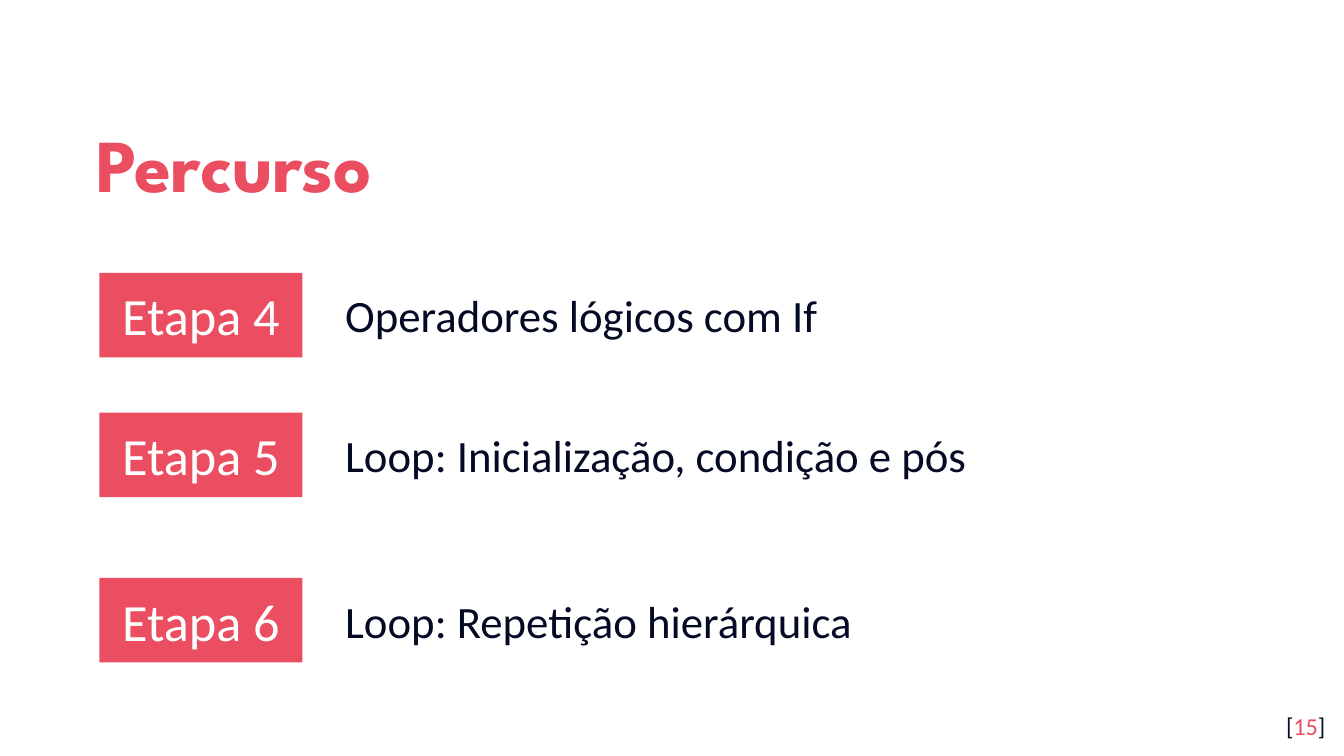
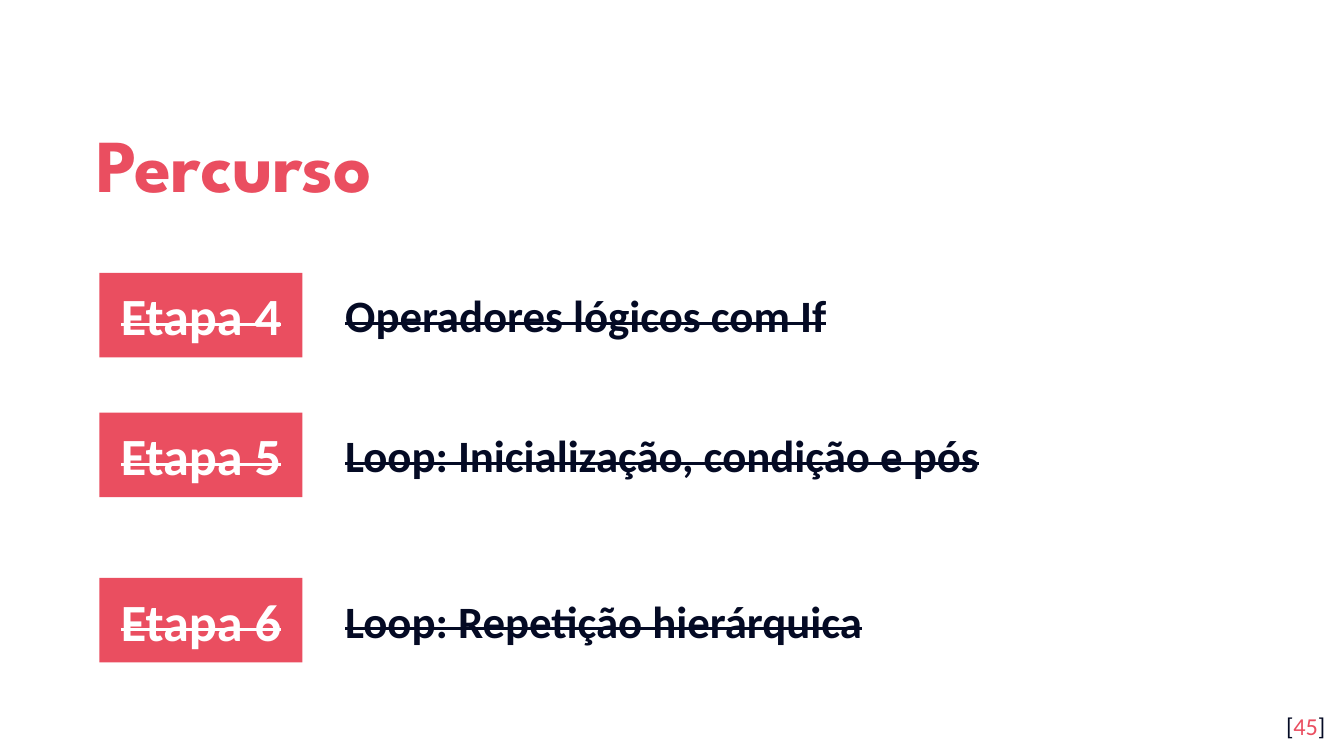
from dataclasses import dataclass

from pptx import Presentation
from pptx.dml.color import RGBColor
from pptx.enum.shapes import MSO_SHAPE
from pptx.enum.text import MSO_ANCHOR, PP_ALIGN
from pptx.util import Inches, Pt

# Content
TITLE = "Percurso"
STEPS = [  # label, description, top of the label box
    ("Etapa 4", "Operadores lógicos com If", 2.03),
    ("Etapa 5", "Loop: Inicialização, condição e pós", 3.07),
    ("Etapa 6", "Loop: Repetição hierárquica", 4.3),
]
SLIDES = [  # page number, steps already completed
    ("15", False),
    ("45", True),
]


@dataclass(frozen=True)
class Theme:
    accent: RGBColor = RGBColor(0xEA, 0x4E, 0x60)
    ink: RGBColor = RGBColor(0x04, 0x0A, 0x24)
    white: RGBColor = RGBColor(0xFF, 0xFF, 0xFF)
    title_font: str = "League Spartan"
    body_font: str = "Calibri"
    title_size: int = 40
    label_size: int = 28
    description_size: int = 24
    page_size: int = 13


THEME = Theme()
SLIDE_WIDTH = 10
SLIDE_HEIGHT = SLIDE_WIDTH * 9 / 16
LABEL_LEFT, LABEL_WIDTH, LABEL_HEIGHT = 0.74, 1.51, 0.63
DESCRIPTION_LEFT, DESCRIPTION_WIDTH, DESCRIPTION_HEIGHT = 2.47, 6.75, 0.5


def set_frame(shape, anchor=MSO_ANCHOR.TOP, vertical_inset=0.1):
    """Prepare the text frame and return its first paragraph."""
    frame = shape.text_frame
    frame.word_wrap = True
    frame.vertical_anchor = anchor
    frame.margin_left = frame.margin_right = Inches(0.1)
    frame.margin_top = frame.margin_bottom = Inches(vertical_inset)
    return frame.paragraphs[0]


def add_text_box(slide, left, top, width, height, **frame_options):
    box = slide.shapes.add_textbox(
        Inches(left), Inches(top), Inches(width), Inches(height))
    return set_frame(box, **frame_options)


def set_font(paragraph, size, color, name=THEME.body_font, bold=False):
    font = paragraph.font
    font.name, font.size, font.bold = name, Pt(size), bold
    font.color.rgb = color


def set_indent(paragraph, left, first_line):
    properties = paragraph._p.get_or_add_pPr()
    properties.set("marL", str(Inches(left)))
    properties.set("indent", str(Inches(first_line)))


def write_step_text(paragraph, text, size, color, done):
    run = paragraph.add_run()
    run.text = text
    set_font(paragraph, size, color, bold=done)
    if done:
        run.font._element.set("strike", "sngStrike")


def add_title(slide):
    paragraph = add_text_box(slide, 0.62, 0.7, 8.1, 0.92, anchor=MSO_ANCHOR.MIDDLE)
    paragraph.text = TITLE
    paragraph.line_spacing = 1.15
    set_font(paragraph, THEME.title_size, THEME.accent, THEME.title_font, bold=True)


def add_step(slide, label, description, top, done):
    # Coloured label
    box = slide.shapes.add_shape(
        MSO_SHAPE.RECTANGLE, Inches(LABEL_LEFT), Inches(top),
        Inches(LABEL_WIDTH), Inches(LABEL_HEIGHT))
    box.shadow.inherit = False
    box.fill.solid()
    box.fill.fore_color.rgb = THEME.accent
    box.line.fill.background()
    paragraph = set_frame(box, anchor=MSO_ANCHOR.MIDDLE)
    paragraph.alignment = PP_ALIGN.CENTER
    paragraph.level = 1
    set_indent(paragraph, 0, 0)
    write_step_text(paragraph, label, THEME.label_size, THEME.white, done)

    # Description, centred on the label's height
    description_top = top + (LABEL_HEIGHT - DESCRIPTION_HEIGHT) / 2
    paragraph = add_text_box(
        slide, DESCRIPTION_LEFT, description_top,
        DESCRIPTION_WIDTH, DESCRIPTION_HEIGHT, vertical_inset=0.05)
    set_indent(paragraph, 0.5, -0.5)
    write_step_text(paragraph, description, THEME.description_size, THEME.ink, done)


def add_page_number(slide, number):
    paragraph = add_text_box(slide, 9.36, 5.19, 0.6, 0.43)
    paragraph.alignment = PP_ALIGN.RIGHT
    set_font(paragraph, THEME.page_size, THEME.ink)
    for text, color in (("[", THEME.ink), (number, THEME.accent), ("]", THEME.ink)):
        run = paragraph.add_run()
        run.text = text
        run.font.color.rgb = color


def main():
    presentation = Presentation()
    presentation.slide_width = Inches(SLIDE_WIDTH)
    presentation.slide_height = Inches(SLIDE_HEIGHT)
    blank_layout = presentation.slide_layouts[6]
    for number, done in SLIDES:
        slide = presentation.slides.add_slide(blank_layout)
        add_title(slide)
        for label, description, top in STEPS:
            add_step(slide, label, description, top, done)
        add_page_number(slide, number)
    presentation.save("out.pptx")


if __name__ == "__main__":
    main()
